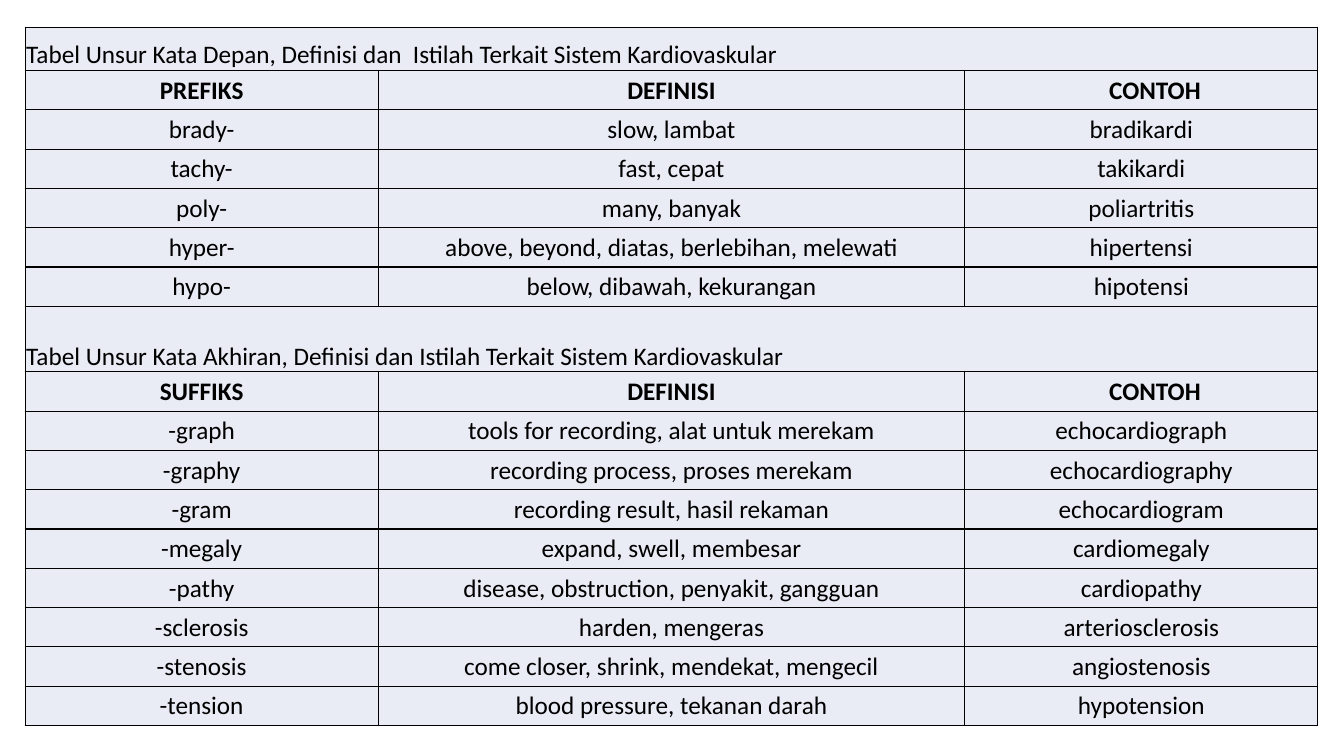
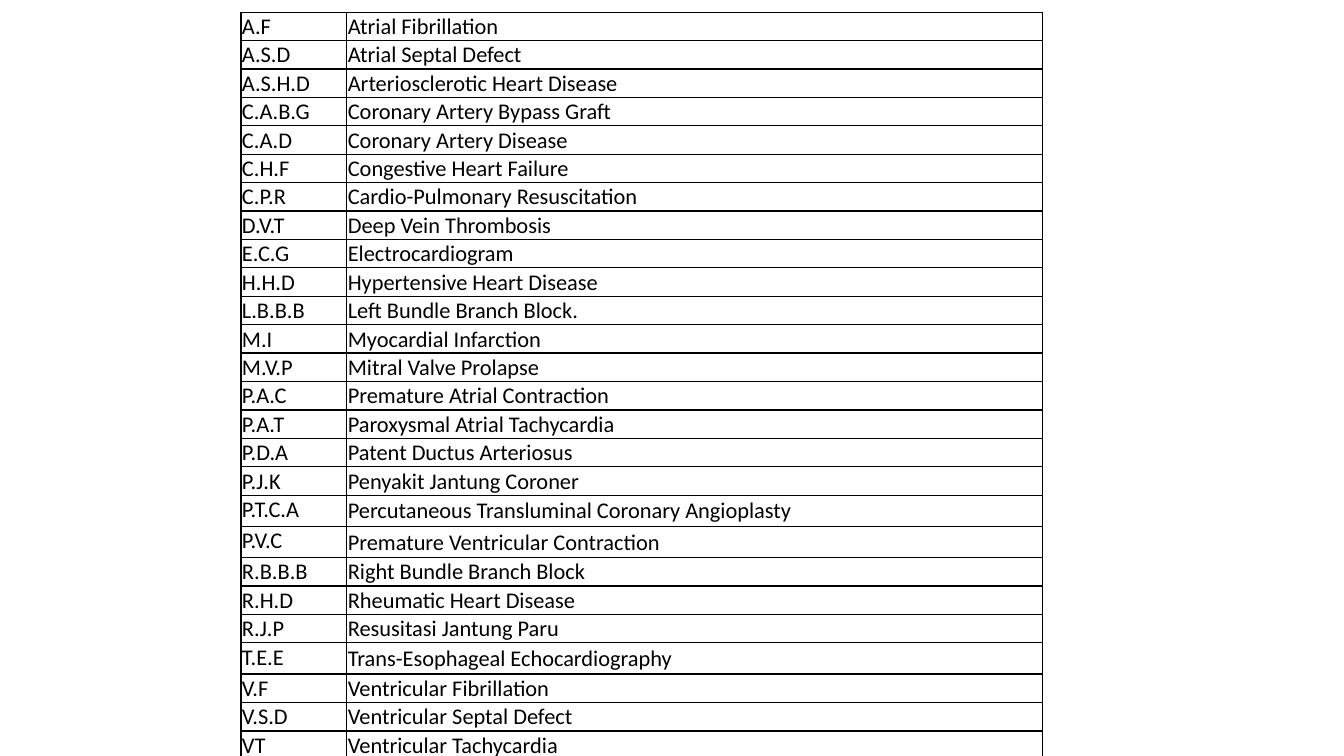
from lxml import etree
from pptx import Presentation
from pptx import util as u
from pptx.dml.color import RGBColor
from pptx.enum import text
from pptx.oxml import ns

PX = 9144  # EMU in one px, 100 px to the inch
BLACK = RGBColor(0x00, 0x00, 0x00)
PALE_BLUE = RGBColor(0xE9, 0xEB, 0xF5)
FONT = "Calibri"
BORDER_WIDTH = u.Pt(1)
TOP, MIDDLE, BOTTOM = (text.MSO_ANCHOR.TOP, text.MSO_ANCHOR.MIDDLE,
                       text.MSO_ANCHOR.BOTTOM)
LEFT, CENTER = text.PP_ALIGN.LEFT, text.PP_ALIGN.CENTER


def add_grid(page, left, top, columns, heights):
    """Add a plain table with the given column widths and row heights."""
    frame = page.shapes.add_table(
        len(heights), len(columns), left * PX, top * PX,
        sum(columns) * PX, sum(heights) * PX)
    table = frame.table
    table.first_row = table.horz_banding = False
    for column, width in zip(table.columns, columns):
        column.width = width * PX
    for row, height in zip(table.rows, heights):
        row.height = height * PX
    return table


def fill_cell(cell, words, size, anchor, align=LEFT, bold=False, fill=None, indent=1):
    """Write one cell and give it its fill and black borders."""
    layout = {"margin_left": indent * PX, "margin_right": PX,
              "margin_top": PX, "margin_bottom": 0, "vertical_anchor": anchor}
    for name, value in layout.items():
        setattr(cell, name, value)
    para = cell.text_frame.paragraphs[0]
    para.alignment = align
    para.font.size = u.Pt(size)
    if words:
        span = para.add_run()
        span.text = words
        style = {"name": FONT, "size": u.Pt(size), "bold": bold}
        for name, value in style.items():
            setattr(span.font, name, value)
        span.font.color.rgb = BLACK
    if fill is None:
        cell.fill.background()
    else:
        cell.fill.solid()
        cell.fill.fore_color.rgb = fill
    # Borders stand before the fill in the cell properties
    properties = cell._tc.get_or_add_tcPr()
    for place, side in enumerate(("lnL", "lnR", "lnT", "lnB")):
        line = etree.Element(ns.qn("a:" + side), w=str(BORDER_WIDTH))
        solid = etree.SubElement(line, ns.qn("a:solidFill"))
        etree.SubElement(solid, ns.qn("a:srgbClr"), val=str(BLACK))
        properties.insert(place, line)


deck = Presentation()
deck.slide_width, deck.slide_height = 1333 * PX, 750 * PX
blank = deck.slide_layouts[6]

# Slide 1: prefixes and suffixes, each section with a caption and a heading row
sections = [
    (43, "Tabel Unsur Kata Depan, Definisi dan  Istilah Terkait Sistem Kardiovaskular", [
        ("PREFIKS", "DEFINISI", "CONTOH"),
        ("brady-", "slow, lambat", "bradikardi"),
        ("tachy-", "fast, cepat", "takikardi"),
        ("poly-", "many, banyak", "poliartritis"),
        ("hyper-", "above, beyond, diatas, berlebihan, melewati", "hipertensi"),
        ("hypo-", "below, dibawah, kekurangan", "hipotensi"),
    ]),
    (65, "Tabel Unsur Kata Akhiran, Definisi dan Istilah Terkait Sistem Kardiovaskular", [
        ("SUFFIKS", "DEFINISI", "CONTOH"),
        ("-graph", "tools for recording, alat untuk merekam", "echocardiograph"),
        ("-graphy", "recording process, proses merekam", "echocardiography"),
        ("-gram", "recording result, hasil rekaman", "echocardiogram"),
        ("-megaly", "expand, swell, membesar", "cardiomegaly"),
        ("-pathy", "disease, obstruction, penyakit, gangguan", "cardiopathy"),
        ("-sclerosis", "harden, mengeras", "arteriosclerosis"),
        ("-stenosis", "come closer, shrink, mendekat, mengecil", "angiostenosis"),
        ("-tension", "blood pressure, tekanan darah", "hypotension"),
    ]),
]
TERM_SIZE, TERM_ROW = 18, 39
heights = []
for caption_height, caption, entries in sections:
    heights += [caption_height] + [TERM_ROW] * len(entries)

page = deck.slides.add_slide(blank)
terms = add_grid(page, 25, 27, [350, 582, 350], heights)
row = 0
for caption_height, caption, entries in sections:
    for column, words in enumerate((caption, "", "")):
        fill_cell(terms.cell(row, column), words, TERM_SIZE, BOTTOM, fill=PALE_BLUE)
    terms.cell(row, 0).merge(terms.cell(row, 2))
    row += 1
    for number, entry in enumerate(entries):
        heading = number == 0
        for column, words in enumerate(entry):
            indent = 28 if heading and column == 2 else 1
            fill_cell(terms.cell(row, column), words, TERM_SIZE, MIDDLE, CENTER,
                      heading, PALE_BLUE, indent)
        row += 1

# Slide 2: abbreviations
abbreviations = [
    ("A.F", "Atrial Fibrillation"),
    ("A.S.D", "Atrial Septal Defect"),
    ("A.S.H.D", "Arteriosclerotic Heart Disease"),
    ("C.A.B.G", "Coronary Artery Bypass Graft"),
    ("C.A.D", "Coronary Artery Disease"),
    ("C.H.F", "Congestive Heart Failure"),
    ("C.P.R", "Cardio-Pulmonary Resuscitation"),
    ("D.V.T", "Deep Vein Thrombosis"),
    ("E.C.G", "Electrocardiogram"),
    ("H.H.D", "Hypertensive Heart Disease"),
    ("L.B.B.B", "Left Bundle Branch Block."),
    ("M.I", "Myocardial Infarction"),
    ("M.V.P", "Mitral Valve Prolapse"),
    ("P.A.C", "Premature Atrial Contraction"),
    ("P.A.T", "Paroxysmal Atrial Tachycardia"),
    ("P.D.A", "Patent Ductus Arteriosus"),
    ("P.J.K", "Penyakit Jantung Coroner"),
    ("P.T.C.A", "Percutaneous Transluminal Coronary Angioplasty"),
    ("P.V.C", "Premature Ventricular Contraction"),
    ("R.B.B.B", "Right Bundle Branch Block"),
    ("R.H.D", "Rheumatic Heart Disease"),
    ("R.J.P", "Resusitasi Jantung Paru"),
    ("T.E.E", "Trans-Esophageal Echocardiography"),
    ("V.F", "Ventricular Fibrillation"),
    ("V.S.D", "Ventricular Septal Defect"),
    ("VT", "Ventricular Tachycardia"),
]
ABBREVIATION_SIZE = 16
TALL_ROWS = ("P.T.C.A", "P.V.C", "T.E.E")

page = deck.slides.add_slide(blank)
heights = [31 if short in TALL_ROWS else 28 for short, meaning in abbreviations]
glossary = add_grid(page, 239, 12, [105, 690], heights)
for row, (short, meaning) in enumerate(abbreviations):
    meaning_anchor = BOTTOM if short == "VT" else MIDDLE
    fill_cell(glossary.cell(row, 0), short, ABBREVIATION_SIZE, TOP)
    fill_cell(glossary.cell(row, 1), meaning, ABBREVIATION_SIZE, meaning_anchor)

deck.save("out.pptx")
